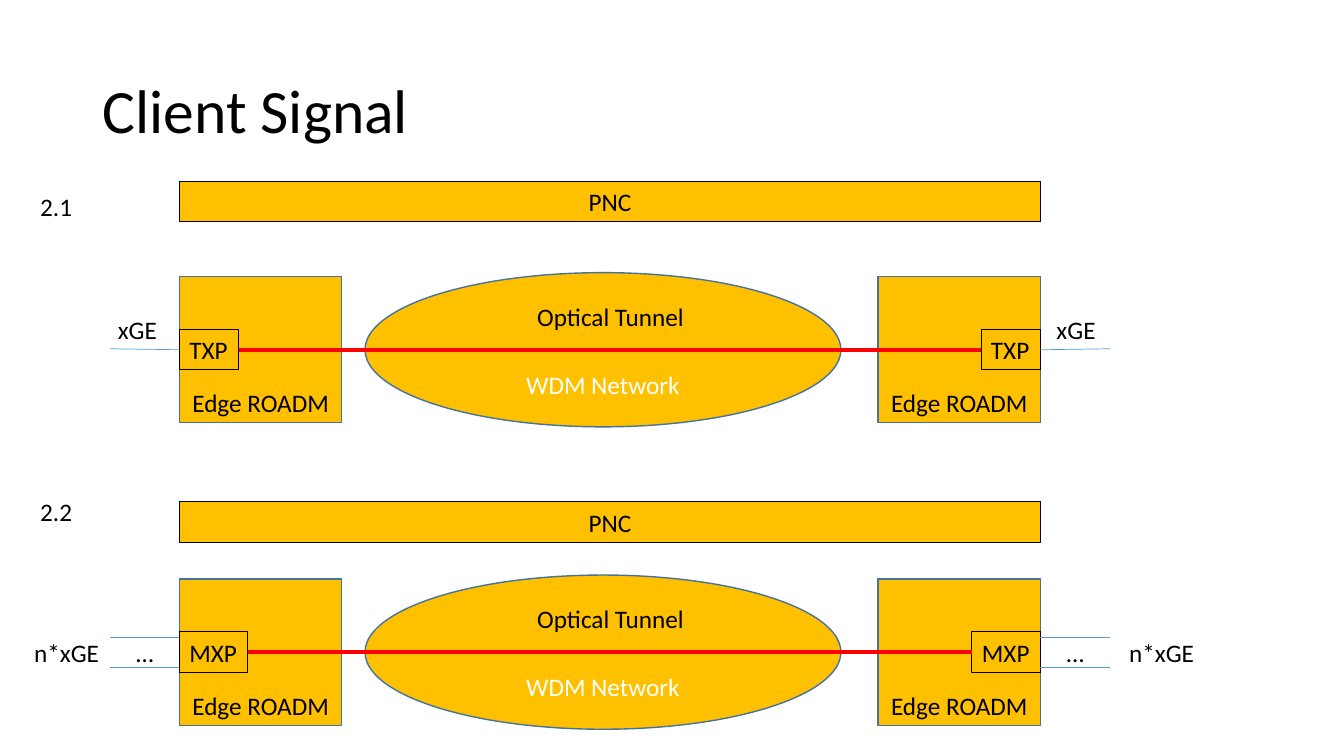
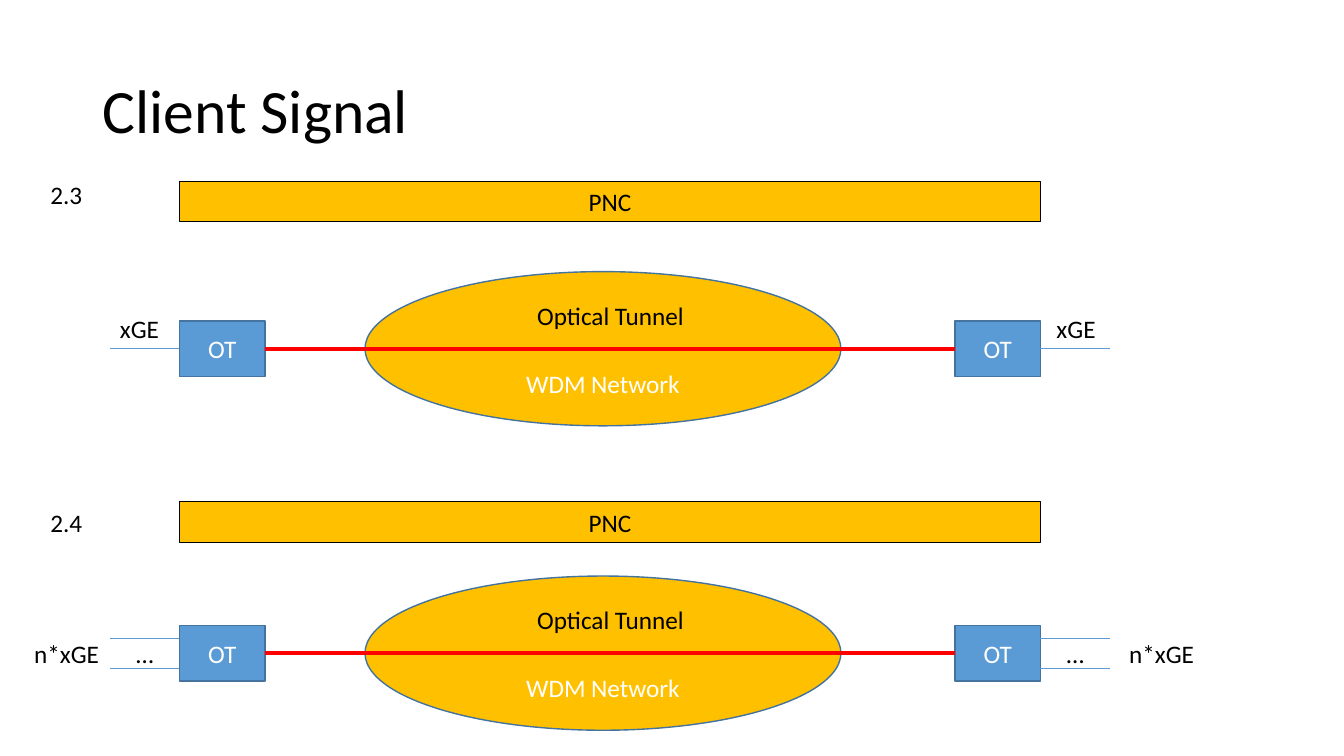
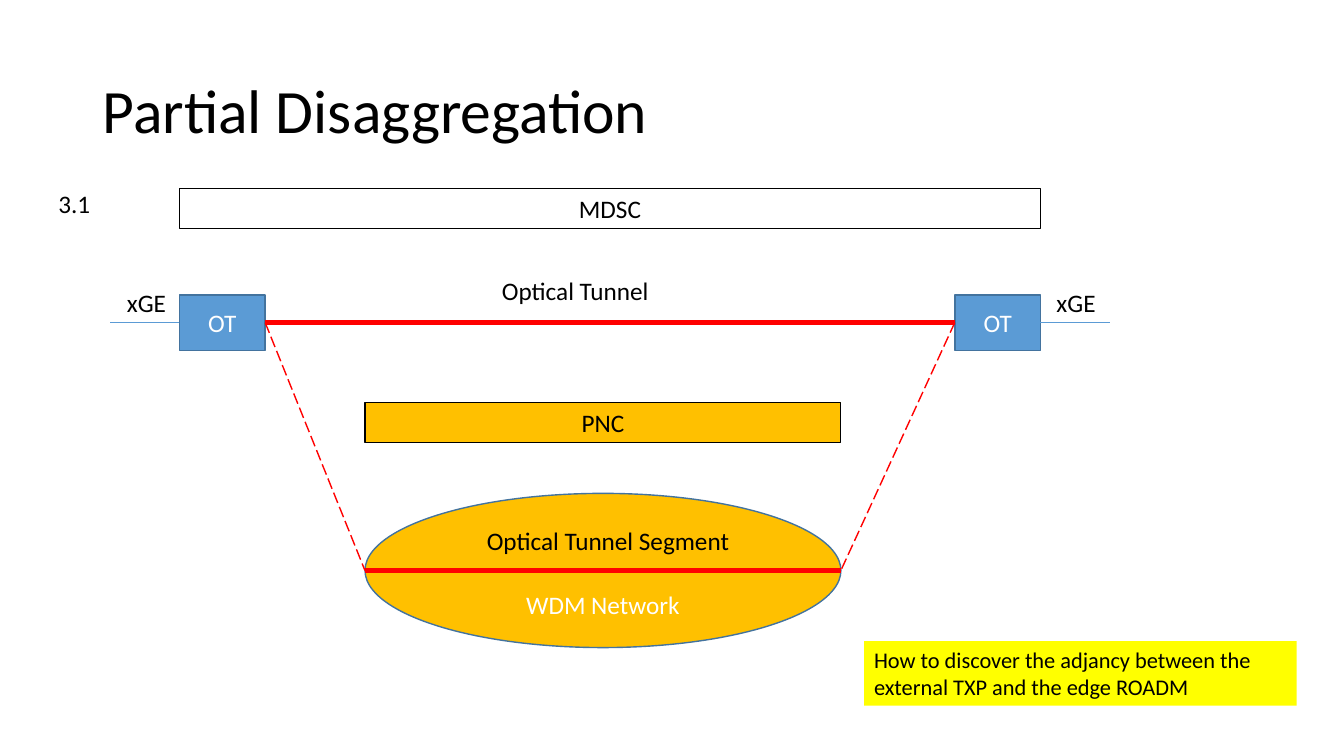
from dataclasses import dataclass

from lxml import etree
from pptx import Presentation
from pptx.dml.color import RGBColor
from pptx.enum.dml import MSO_LINE
from pptx.enum.shapes import MSO_CONNECTOR, MSO_SHAPE
from pptx.enum.text import MSO_ANCHOR, MSO_AUTO_SIZE, PP_ALIGN
from pptx.oxml.ns import qn
from pptx.util import Inches, Pt

RECT, OVAL = MSO_SHAPE.RECTANGLE, MSO_SHAPE.OVAL
STRAIGHT, DASH = MSO_CONNECTOR.STRAIGHT, MSO_LINE.LONG_DASH
LEFT, CENTER = PP_ALIGN.LEFT, PP_ALIGN.CENTER
TOP, MIDDLE, BOTTOM = MSO_ANCHOR.TOP, MSO_ANCHOR.MIDDLE, MSO_ANCHOR.BOTTOM
GROW, FIXED = MSO_AUTO_SIZE.SHAPE_TO_FIT_TEXT, MSO_AUTO_SIZE.NONE

BLACK = RGBColor(0x00, 0x00, 0x00)
WHITE = RGBColor(0xFF, 0xFF, 0xFF)
GOLD = RGBColor(0xFF, 0xC0, 0x00)
BLUE = RGBColor(0x5B, 0x9B, 0xD5)
STEEL = RGBColor(0x43, 0x73, 0x9E)
RED = RGBColor(0xFF, 0x00, 0x00)
YELLOW = RGBColor(0xFF, 0xFF, 0x00)
FONT = "Calibri"

# Shared grid, in inches
WEST, EAST = 1.78, 10.32
STUB = 0.69
ROW_H = 0.4
CLOUD_X, CLOUD_W, CLOUD_H = 3.62, 4.72, 1.53
NODE_W, NODE_H = 1.61, 1.45


@dataclass(frozen=True)
class End:
    text: str
    width: float
    height: float
    fill: RGBColor
    edge: RGBColor
    color: RGBColor
    weight: float
    wrap: bool


@dataclass(frozen=True)
class Case:
    label: str
    label_x: float
    label_y: float
    bar_y: float
    mid: float
    end: End
    many: bool = False
    node: bool = False
    client_x: float = 1.09
    tilt: float = 0


TXP = End("TXP", 0.59, ROW_H, GOLD, BLACK, BLACK, 0.75, False)
MXP = End("MXP", 0.68, ROW_H, GOLD, BLACK, BLACK, 0.75, False)
OT = End("OT", 0.85, 0.55, BLUE, STEEL, WHITE, 1, True)

CLIENT = [
    [Case("2.1", 0.3, 1.85, 1.8, 3.47, TXP, node=True, client_x=1.07, tilt=0.01),
     Case("2.2", 0.3, 4.87, 4.98, 6.47, MXP, many=True, node=True)],
    [Case("2.3", 0.4, 1.73, 1.8, 3.46, OT),
     Case("2.4", 0.4, 4.98, 4.98, 6.48, OT, many=True)],
]
PARTIAL = Case("3.1", 0.48, 1.82, 1.87, 3.2, OT, client_x=1.16)


def write(shape, text: str, size=18, color=BLACK, align=LEFT, anchor=TOP,
          wrap=True, grow=False) -> None:
    frame = shape.text_frame
    frame.word_wrap = wrap
    frame.auto_size = GROW if grow else FIXED
    frame.vertical_anchor = anchor
    para = frame.paragraphs[0]
    para.alignment = align
    run = para.add_run()
    run.text = text
    run.font.name, run.font.size = FONT, Pt(size)
    run.font.color.rgb = color


def add_text(slide, x: float, y: float, w: float, text: str, **style):
    box = slide.shapes.add_textbox(Inches(x), Inches(y), Inches(w), Inches(ROW_H))
    write(box, text, **{"wrap": False, "grow": True, **style})
    return box


def add_box(slide, x: float, y: float, w: float, h: float, text: str, fill,
            edge=STEEL, weight=1.0, kind=RECT, **style):
    box = slide.shapes.add_shape(kind, Inches(x), Inches(y), Inches(w), Inches(h))
    box.shadow.inherit = False
    if fill is None:
        box.fill.background()
    else:
        box.fill.solid()
        box.fill.fore_color.rgb = fill
    if edge is None:
        box.line.fill.background()
    else:
        box.line.color.rgb = edge
        box.line.width = Pt(weight)
    write(box, text, **style)
    return box


def add_line(slide, x1: float, y1: float, x2: float, y2: float,
             color=RED, weight=3.0, dash=None):
    line = slide.shapes.add_connector(
        STRAIGHT, Inches(x1), Inches(y1), Inches(x2), Inches(y2))
    line.line.color.rgb = color
    line.line.width = Pt(weight)
    if dash is not None:
        line.line.dash_style = dash
    etree.SubElement(line._element.spPr, qn("a:effectLst"))
    return line


def add_bar(slide, x: float, y: float, w: float, text: str, fill) -> None:
    add_box(slide, x, y, w, ROW_H, text, fill, BLACK, 0.75,
            align=CENTER, anchor=MIDDLE)


def add_cloud(slide, mid: float) -> None:
    add_box(slide, CLOUD_X, mid - CLOUD_H / 2, CLOUD_W, CLOUD_H, "WDM Network",
            GOLD, kind=OVAL, color=WHITE, align=CENTER, anchor=BOTTOM)


def add_title(prs, text: str):
    slide = prs.slides.add_slide(prs.slide_layouts[6])
    box = slide.shapes.add_textbox(
        Inches(0.92), Inches(0.4), Inches(11.5), Inches(1.45))
    write(box, text, size=44, anchor=MIDDLE)
    box.text_frame.paragraphs[0].line_spacing = 0.9
    return slide


def add_ends(slide, case: Case) -> list:
    """Draw both end boxes, the tunnel between them and the client links."""
    end, mid = case.end, case.mid
    pair = [
        add_box(slide, x, mid - end.height / 2, end.width, end.height, end.text,
                end.fill, end.edge, end.weight, color=end.color,
                align=CENTER if end.wrap else LEFT, anchor=MIDDLE,
                wrap=end.wrap, grow=not end.wrap)
        for x in (WEST, EAST - end.width)
    ]
    link = add_line(slide, WEST + end.width, mid, EAST - end.width, mid)
    link.begin_connect(pair[0], 3)
    link.end_connect(pair[1], 1)

    # Client links on both sides
    for box, side, x, far in ((pair[0], 1, WEST, WEST - STUB),
                              (pair[1], 3, EAST, EAST + STUB)):
        if case.many:
            for y in (mid - 0.15, mid + 0.15):
                add_line(slide, x, y, far, y, BLUE, 0.5)
            add_text(slide, min(x, far), mid - 0.2, STUB, "…",
                     align=CENTER, wrap=True)
        else:
            stub = add_line(slide, x, mid, far, mid - case.tilt, BLUE, 0.5)
            stub.begin_connect(box, side)
    if case.many:
        for x in (0.24, 11.1):
            add_text(slide, x, mid - 0.2, 0.85, "n*xGE")
    else:
        for x in (case.client_x, 10.38):
            add_text(slide, x, mid - 0.4, 0.59, "xGE")
    add_text(slide, case.label_x, case.label_y, 0.52, case.label)
    return pair


def add_case(slide, case: Case) -> None:
    if case.node:
        for x in (WEST, EAST - NODE_W):
            add_box(slide, x, case.mid - NODE_H / 2, NODE_W, NODE_H,
                    "Edge ROADM", GOLD, align=CENTER, anchor=BOTTOM)
    add_cloud(slide, case.mid)
    add_text(slide, 5.23, case.mid - 0.53, 1.67, "Optical Tunnel")
    add_bar(slide, WEST, case.bar_y, EAST - WEST, "PNC", GOLD)
    add_ends(slide, case)


def add_partial(slide, case: Case) -> None:
    low = 5.66
    add_cloud(slide, low)
    add_text(slide, 4.73, 5.16, 2.64, "Optical Tunnel Segment")
    add_line(slide, CLOUD_X, low, CLOUD_X + CLOUD_W, low)
    add_bar(slide, CLOUD_X, 3.99, CLOUD_W, "PNC", GOLD)
    add_bar(slide, WEST, case.bar_y, EAST - WEST, "MDSC", None)
    add_text(slide, 4.88, 2.68, 1.67, "Optical Tunnel")
    west, east = add_ends(slide, case)

    # Dashed drops to the segment
    for box, side, x, foot in (
            (west, 3, WEST + OT.width, CLOUD_X),
            (east, 1, EAST - OT.width, CLOUD_X + CLOUD_W)):
        drop = add_line(slide, x, case.mid, foot, low, weight=1, dash=DASH)
        drop.begin_connect(box, side)

    # Open question
    add_box(slide, 8.57, 6.36, 4.29, 0.64,
            "How to discover the adjancy between the external TXP "
            "and the edge ROADM", YELLOW, None, size=16)


def main() -> None:
    prs = Presentation()
    prs.slide_width, prs.slide_height = Inches(13.33), Inches(7.5)
    for cases in CLIENT:
        slide = add_title(prs, "Client Signal")
        for case in cases:
            add_case(slide, case)
    add_partial(add_title(prs, "Partial Disaggregation"), PARTIAL)
    prs.save("out.pptx")


if __name__ == "__main__":
    main()
